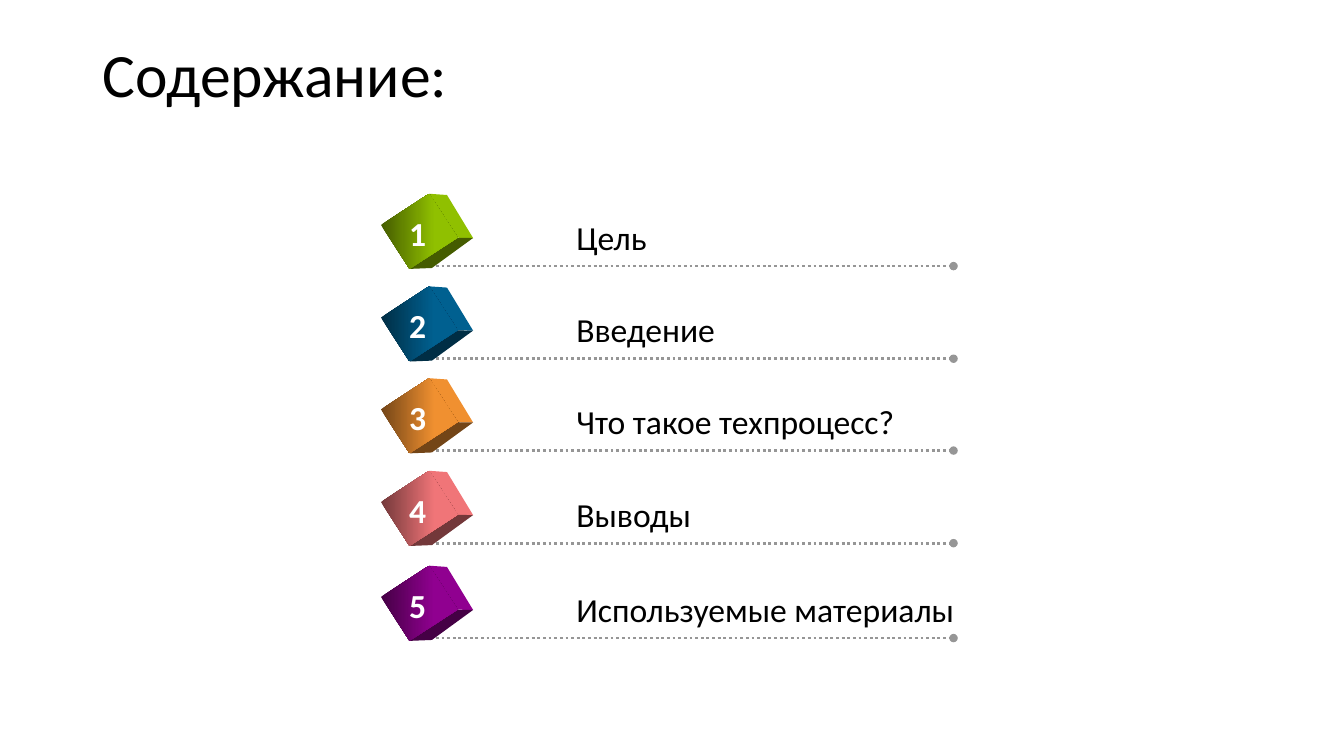
from lxml.etree import SubElement
from pptx import Presentation
from pptx.dml.color import RGBColor
from pptx.enum.dml import MSO_LINE
from pptx.enum.shapes import MSO_CONNECTOR, MSO_SHAPE
from pptx.enum.text import MSO_ANCHOR
from pptx.oxml.ns import qn
from pptx.util import Inches, Pt

ITEMS = [  # baseline of the row, colour, label
    (35.2, "99CC00", "Цель"),
    (47.45, "006699", "Введение"),
    (59.6, "FF9933", "Что такое техпроцесс?"),
    (71.85, "FF7C80", "Выводы"),
    (84.4, "990099", "Используемые материалы"),
]
# Cube corners as offsets from the centre of its front face
TOP, RIGHT, BOTTOM = (0.72, -4.97), (2.8, 0.85), (-0.72, 4.97)
BACK_TOP, BACK_RIGHT, BACK_BOTTOM = (2.06, -4.8), (4, 0.89), (0.94, 4.85)


def color(hex_code):
    return RGBColor.from_string(hex_code)


def shade(hex_code, factor):
    """Darken a colour: factor 1 keeps it, 0 gives black."""
    return "".join(f"{round(int(hex_code[i:i + 2], 16) * factor):02X}" for i in (0, 2, 4))


class Deck:
    """Style and current slide; all lengths are percent of the slide's size."""
    font, ink, rule_color = "Calibri", "000000", "969696"

    def __init__(self):
        self.prs = Presentation()
        self.prs.slide_width, self.prs.slide_height = Inches(13.333), Inches(7.5)
        self.s = self.prs.slides.add_slide(self.prs.slide_layouts[6])

    def x(self, share):
        return round(self.prs.slide_width * share / 100)

    def y(self, share):
        return round(self.prs.slide_height * share / 100)

    def box(self, x, y, w, h):
        return self.x(x), self.y(y), self.x(w), self.y(h)

    def text(self, text, x, y, w, h, size=24, ink=None, bold=False, wrap=False,
             anchor=MSO_ANCHOR.TOP, spacing=1.0):
        tf = self.s.shapes.add_textbox(*self.box(x, y, w, h)).text_frame
        tf.word_wrap, tf.vertical_anchor = wrap, anchor
        p = tf.paragraphs[0]
        p.line_spacing = spacing
        r = p.add_run()
        r.text = text
        r.font.name, r.font.size, r.font.bold = self.font, Pt(size), bold
        r.font.color.rgb = color(ink or self.ink)

    def dotted_rule(self, x1, x2, y):
        line = self.s.shapes.add_connector(
            MSO_CONNECTOR.STRAIGHT, self.x(x1), self.y(y), self.x(x2), self.y(y))
        line.line.color.rgb = color(self.rule_color)
        line.line.width = Pt(2)
        line.line.dash_style = MSO_LINE.ROUND_DOT
        SubElement(line.line._get_or_add_ln(), qn("a:tailEnd"), type="oval")
        SubElement(line._element.spPr, qn("a:effectLst"))

    def face(self, cx, cy, corners, fill):
        points = [(self.x(cx + dx), self.y(cy + dy)) for dx, dy in corners]
        builder = self.s.shapes.build_freeform(*points[0])
        builder.add_line_segments(points[1:])
        sp = builder.convert_to_shape()
        sp.shadow.inherit = False
        sp.fill.solid()
        sp.fill.fore_color.rgb = color(fill)
        sp.line.fill.background()

    def cube(self, cx, cy, base):
        lit = shade(base, 0.94)
        self.face(cx, cy, (TOP, BACK_TOP, BACK_RIGHT, RIGHT), lit)
        self.face(cx, cy, (BOTTOM, BACK_BOTTOM, BACK_RIGHT, RIGHT), shade(base, 0.45))
        w, h = 3.9, 7.6
        sp = self.s.shapes.add_shape(MSO_SHAPE.RECTANGLE,
                                     *self.box(cx - w / 2, cy - h / 2, w, h))
        sp.rotation = 57
        sp.shadow.inherit = False
        sp.line.fill.background()
        sp.fill.gradient()
        sp.fill.gradient_angle = 57  # cancels the rotation: dark left, light right
        stops = sp.fill.gradient_stops
        for stop, position, tone in zip(stops, (0, 0.7), (shade(base, 0.45), lit)):
            stop.position, stop.color.rgb = position, color(tone)

    def item(self, number, y, base, label):
        self.dotted_rule(31.6, 70.95, y)
        self.cube(31.2, y - 4.6, base)
        self.text(label, 42.15, y - 7.2, 30, 6.8)
        self.text(str(number), 29.7, y - 7.75, 2.9, 6.7, ink="FFFFFF", bold=True)


def main():
    deck = Deck()
    deck.text("Содержание:", 6.9, 3.6, 86.25, 13.45, size=44, wrap=True,
              anchor=MSO_ANCHOR.MIDDLE, spacing=0.9)
    for number, (y, base, label) in enumerate(ITEMS, 1):
        deck.item(number, y, base, label)
    deck.prs.save("out.pptx")


if __name__ == "__main__":
    main()
